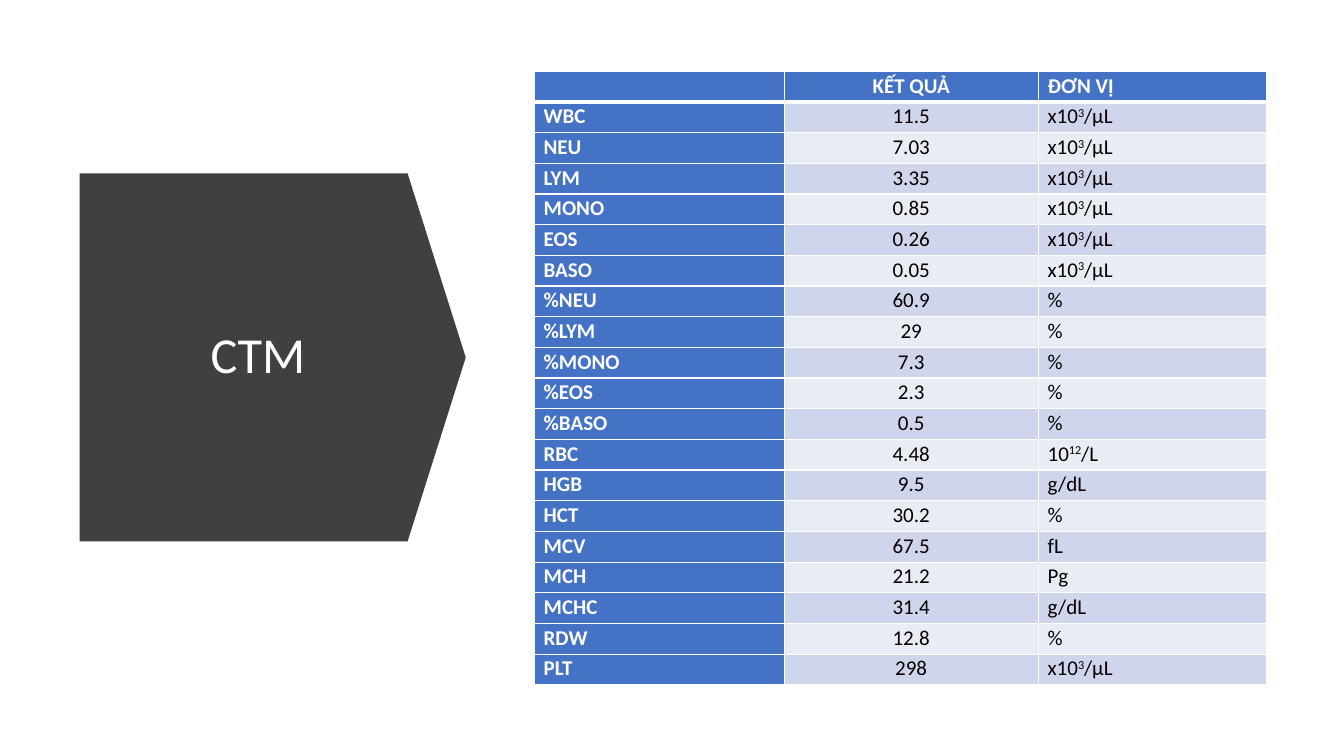
"""Build the CTM slide: an arrow with the title and a table of blood count results."""
from lxml import etree
from pptx import Presentation
from pptx.dml.color import RGBColor
from pptx.enum.shapes import MSO_SHAPE
from pptx.enum.text import MSO_ANCHOR, PP_ALIGN
from pptx.oxml.ns import qn
from pptx.util import Pt

WHITE = RGBColor(0xFF, 0xFF, 0xFF)
BLACK = RGBColor(0, 0, 0)
DARK = RGBColor(0x40, 0x40, 0x40)
BLUE = RGBColor(0x44, 0x72, 0xC4)
BANDS = [RGBColor(0xE9, 0xEB, 0xF5), RGBColor(0xCF, 0xD5, 0xEA)]
FONT = "Calibri"
CELLS = "x10^3^/µL"
ROWS = [
    ("", "KẾT QUẢ", "ĐƠN VỊ"),
    ("WBC", "11.5", CELLS),
    ("NEU", "7.03", CELLS),
    ("LYM", "3.35", CELLS),
    ("MONO", "0.85", CELLS),
    ("EOS", "0.26", CELLS),
    ("BASO", "0.05", CELLS),
    ("%NEU", "60.9", "%"),
    ("%LYM", "29", "%"),
    ("%MONO", "7.3", "%"),
    ("%EOS", "2.3", "%"),
    ("%BASO", "0.5", "%"),
    ("RBC", "4.48", "10^12^/L"),
    ("HGB", "9.5", "g/dL"),
    ("HCT", "30.2", "%"),
    ("MCV", "67.5", "fL"),
    ("MCH", "21.2", "Pg"),
    ("MCHC", "31.4", "g/dL"),
    ("RDW", "12.8", "%"),
    ("PLT", "298", CELLS),
]
COL_WIDTHS = [178.6, 181.4, 163.4]
ROW_HEIGHT = 21.92


def add_border(cell, side, width):
    ln = etree.SubElement(cell._tc.get_or_add_tcPr(), qn(f"a:ln{side}"), w=str(Pt(width)))
    fill = etree.SubElement(ln, qn("a:solidFill"))
    etree.SubElement(fill, qn("a:srgbClr"), val=str(WHITE))


prs = Presentation()
prs.slide_width, prs.slide_height = Pt(960), Pt(540)
s = prs.slides.add_slide(prs.slide_layouts[5])

arrow = s.shapes.add_shape(MSO_SHAPE.DOWN_ARROW, Pt(63.4), Pt(117.4), Pt(262.8), Pt(275.8))
arrow.rotation = 270
arrow.adjustments[0] = 1
arrow.adjustments[1] = 0.158
arrow.shadow.inherit = False
arrow.fill.solid()
arrow.fill.fore_color.rgb = DARK
arrow.line.fill.background()

title = s.shapes.title
title.left, title.top, title.width, title.height = Pt(80.6), Pt(154.8), Pt(207.4), Pt(200.9)
tf = title.text_frame
tf.text = "CTM"
tf.word_wrap = True
tf.vertical_anchor = MSO_ANCHOR.MIDDLE
p = tf.paragraphs[0]
p.alignment = PP_ALIGN.CENTER
p.line_spacing = 0.9
p.font.name, p.font.size = FONT, Pt(36)
p.font.color.rgb = WHITE
# The arrow stays behind the title
s.shapes._spTree.append(title._element)

frame = s.shapes.add_table(len(ROWS), len(COL_WIDTHS), Pt(381.6), Pt(50.9),
                           Pt(sum(COL_WIDTHS)), Pt(ROW_HEIGHT * len(ROWS)))
table = frame.table
table.first_col = True
for column, width in zip(table.columns, COL_WIDTHS):
    column.width = Pt(width)

for i, row in enumerate(ROWS):
    table.rows[i].height = Pt(ROW_HEIGHT)
    for j, text in enumerate(row):
        cell = table.cell(i, j)
        heading = i == 0 or j == 0
        cell.margin_left = cell.margin_right = Pt(6.75)
        cell.margin_top = cell.margin_bottom = 0
        for side in "LRTB":
            thick = (i == 0 and side == "B") or (i == 1 and side == "T")
            add_border(cell, side, 3 if thick else 1)
        cell.fill.solid()
        cell.fill.fore_color.rgb = BLUE if heading else BANDS[i % 2]
        p = cell.text_frame.paragraphs[0]
        p.font.name, p.font.size, p.font.bold = FONT, Pt(15), heading
        p.font.color.rgb = WHITE if heading else BLACK
        if not text:
            continue
        p.alignment = PP_ALIGN.CENTER if j == 1 else PP_ALIGN.JUSTIFY
        p.line_spacing = 1.07
        p.space_after = Pt(8)
        for k, part in enumerate(text.split("^")):
            r = p.add_run()
            r.text = part
            if k % 2:
                r._r.get_or_add_rPr().set("baseline", "30000")

prs.save("out.pptx")
